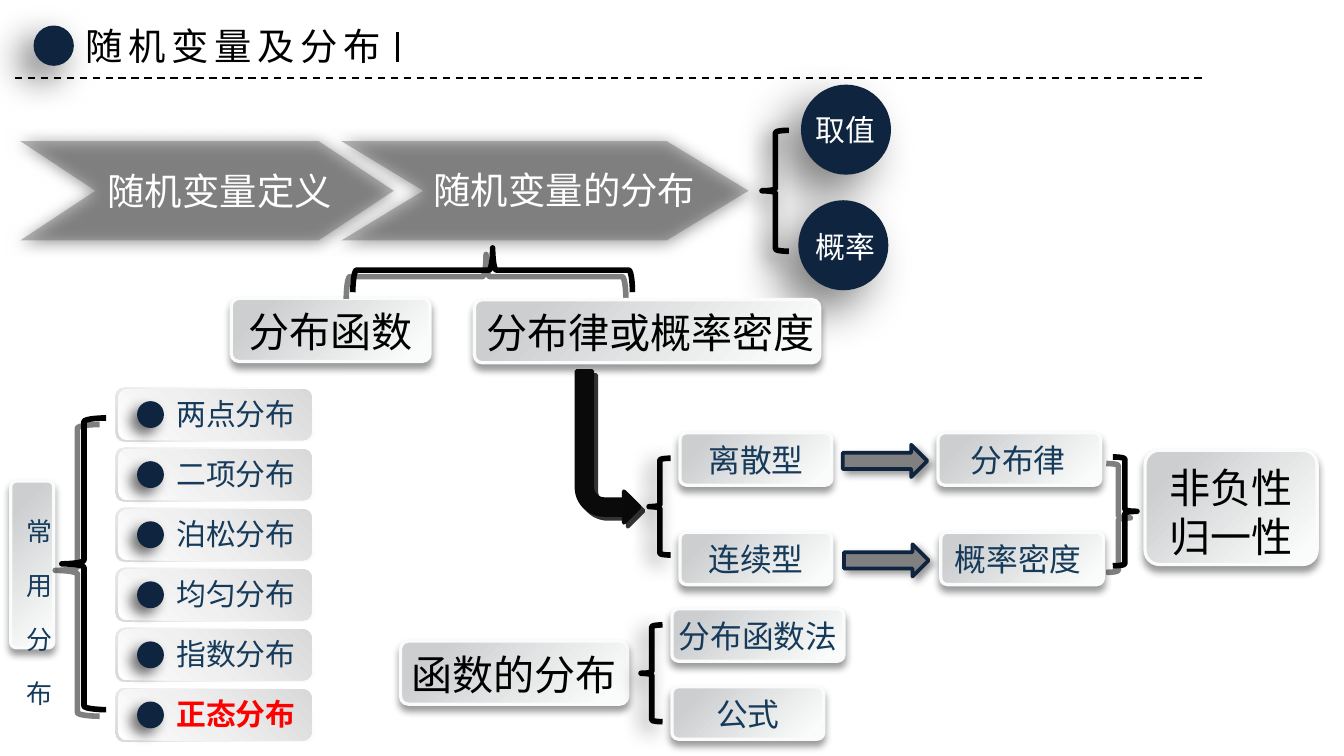
from lxml import etree
from pptx import Presentation
from pptx.dml.color import RGBColor
from pptx.enum.dml import MSO_LINE
from pptx.enum.shapes import MSO_CONNECTOR, MSO_SHAPE
from pptx.enum.text import MSO_ANCHOR, MSO_AUTO_SIZE, PP_ALIGN
from pptx.oxml.ns import qn
from pptx.util import Inches, Pt

ROUND, OVAL = MSO_SHAPE.ROUNDED_RECTANGLE, MSO_SHAPE.OVAL
BRACE, ARROW, BENT = MSO_SHAPE.LEFT_BRACE, MSO_SHAPE.RIGHT_ARROW, MSO_SHAPE.BENT_ARROW
LEFT, CENTER = PP_ALIGN.LEFT, PP_ALIGN.CENTER
COLORS = {
    "navy": "0F243E", "ink": "163A5A", "black": "000000", "white": "FFFFFF",
    "red": "FF0000", "grey": "808080", "chevron": "595959", "elbow": "0A0A0A",
    "card_dark": "CDCED0", "card_light": "FAFCFB",
    "bar_mid": "F2F2F2", "bar_inner": "F0F0F0", "bar_end": "D9D9D9",
}
SANS, LATIN = "Noto Sans CJK SC", "Arial"
# Shadows: opacity %, blur pt, distance pt, direction in degrees
CARD_SHADOW, ARROW_SHADOW, ELBOW_SHADOW = (40, 4, 3, 90), (40, 4, 3, 45), (80, 0, 3, 45)
BRACE_SHADOW, HARD_SHADOW, CHEVRON_SHADOW = (50, 11, 5, 135), (50, 0, 5, 135), (100, 8.5, 1, 90)
NODE_SHADOW, TITLE_SHADOW, DOT_SHADOW = (50, 25, 15, 135), (60, 20, 10, 135), (57, 7, 5, 135)
COLS, ROWS = 100, 56.25  # square grid cells, a tenth of an inch wide


def rgb(name):
    return RGBColor.from_string(COLORS[name])


class Board:
    """Draws on one slide; every length is in grid columns and rows."""

    def __init__(self, prs):
        self.slide = prs.slides.add_slide(prs.slide_layouts[6])
        self.shapes = self.slide.shapes
        self.cell = prs.slide_width / COLS

    def emu(self, *cells):
        return [round(c * self.cell) for c in cells]

    def finish(self, shape, fill=None, line=None, width=2, shadow=None):
        if fill:
            shape.fill.solid()
            shape.fill.fore_color.rgb = rgb(fill)
        else:
            shape.fill.background()
        if line:
            shape.line.color.rgb = rgb(line)
            shape.line.width = Pt(width)
        else:
            shape.line.fill.background()
        shape.shadow.inherit = False
        if shadow:
            opacity, blur, distance, angle = shadow
            effects = shape._element.spPr.find(qn("a:effectLst"))
            outer = etree.SubElement(effects, qn("a:outerShdw"), blurRad=str(Pt(blur)),
                                     dist=str(Pt(distance)), dir=str(angle * 60000),
                                     algn="ctr", rotWithShape="0")
            color = etree.SubElement(outer, qn("a:srgbClr"), val=COLORS["black"])
            etree.SubElement(color, qn("a:alpha"), val=str(opacity * 1000))
        return shape

    def shape(self, kind, box, rotation=0, flip=False, **style):
        shape = self.finish(self.shapes.add_shape(kind, *self.emu(*box)), **style)
        shape.rotation = rotation
        if flip:
            shape._element.spPr.find(qn("a:xfrm")).set("flipH", "1")
        return shape

    def gradient(self, shape, stops, angle):
        shape.fill.gradient()
        shape.fill.gradient_angle = (360 - angle) % 360
        stop_list = next(shape._element.spPr.iter(qn("a:gsLst")))
        for stop in list(stop_list):
            stop_list.remove(stop)
        for share, color in stops:
            stop = etree.SubElement(stop_list, qn("a:gs"), pos=str(share * 1000))
            etree.SubElement(stop, qn("a:srgbClr"), val=COLORS[color])

    def text(self, box, lines, size, color, font=SANS, align=LEFT, wrap=False, tight=False,
             middle=False, spacing=None, bold=None, **run_attributes):
        frame = self.shapes.add_textbox(*self.emu(*box)).text_frame
        frame.word_wrap = wrap
        frame.auto_size = MSO_AUTO_SIZE.SHAPE_TO_FIT_TEXT
        if tight:
            frame.margin_left = frame.margin_right = Inches(0.07)
            frame.margin_top = frame.margin_bottom = Inches(0.04)
        if middle:
            frame.vertical_anchor = MSO_ANCHOR.MIDDLE
        frame.text = lines
        for paragraph in frame.paragraphs:
            paragraph.alignment = align
            paragraph.line_spacing = spacing
            for run in paragraph.runs:
                run.font.size, run.font.name, run.font.bold = Pt(size), font, bold
                run.font.color.rgb = rgb(color)
                props = run.font._element
                for key, value in run_attributes.items():
                    props.set(key, value)
                if font == SANS:
                    props.find(qn("a:latin")).addnext(
                        etree.Element(qn("a:ea"), typeface=font))

    def panel(self, box):
        panel = self.shape(ROUND, box, line="card_light", width=1.75, shadow=CARD_SHADOW)
        panel.adjustments[0] = 0.125
        self.gradient(panel, [(15, "card_dark"), (92, "card_light")], 45)

    def card(self, box, label, text_width, size=17, color="ink", shift=0, drop=0.2):
        self.panel(box)
        x, y, w, h = box
        self.text((x + (w - text_width) / 2 + shift, y + drop, text_width, h - drop),
                  label, size, color, align=CENTER, tight=True)

    def bar(self, y, label, color="ink", bold=None):
        for inset, middle, share, angle in ((0, "bar_mid", 62, 135), (0.1, "bar_inner", 42, 315)):
            layer = self.shape(ROUND, (8.6 + 2 * inset, y + inset, 14.8 - 4 * inset, 4 - 2 * inset))
            self.gradient(layer, [(0, "white"), (share, middle), (100, "bar_end")], angle)
        self.shape(OVAL, (10.2, y + 1, 2, 2), fill="navy", shadow=DOT_SHADOW)
        self.text((12.15, y + 0.1, 11, 3.7), label, 16, color, bold=bold)

    def brace(self, box, rotation=0, flip=False):
        self.shape(BRACE, box, rotation, flip, line="black", width=3,
                   shadow=HARD_SHADOW if flip else BRACE_SHADOW)

    def arrow(self, x, y):
        self.shape(ARROW, (x, y, 6.3, 2.4), fill="grey", line="navy", shadow=ARROW_SHADOW)

    def chevron(self, x, width, notch, label, box, spacing=None):
        top, middle, bottom = 10.5, 14.2, 17.9
        shoulder, tip = x + width - notch, x + width
        outline = [(x, top), (shoulder, top), (tip, middle), (shoulder, bottom),
                   (x, bottom), (x + notch, middle)]
        points = [self.emu(*point) for point in outline]
        builder = self.shapes.build_freeform(*points[0])
        builder.add_line_segments(points[1:], close=True)
        shape = self.finish(builder.convert_to_shape(), fill="chevron", shadow=CHEVRON_SHADOW)
        color = shape._element.spPr.find(qn("a:solidFill"))[0]
        etree.SubElement(color, qn("a:alpha"), val="40000")
        self.text(box, label, 20, "white", LATIN, CENTER, wrap=True, middle=True, spacing=spacing)

    def rule(self, start, end, width, dash=None):
        rule = self.shapes.add_connector(MSO_CONNECTOR.STRAIGHT, *self.emu(*start, *end))
        rule.line.color.rgb = rgb("black")
        rule.line.width = Pt(width)
        rule.line.dash_style = dash
        etree.SubElement(rule._element.spPr, qn("a:effectLst"))


def main():
    prs = Presentation()
    prs.slide_width = Inches(10)
    prs.slide_height = round(prs.slide_width * ROWS / COLS)
    board = Board(prs)

    # Main chain: definition and distribution
    board.chevron(25.4, 30.3, 6.1, "随机变量的分布", (29.2, 11.9, 25.6, 4.4))
    board.chevron(1.5, 27.8, 5.6, "随机变量定义", (4.25, 11.5, 24.2, 4.7), spacing=1.2)

    # Title
    board.rule((1.1, 5.8), (89.8, 5.8), 1, MSO_LINE.DASH)
    board.shape(OVAL, (2.5, 1.9, 3, 3), fill="navy", shadow=TITLE_SHADOW)
    board.text((5.4, 1.2, 24.6, 4.4), "随机变量及分布", 20, "black", spc="300")
    board.rule((29.6, 2.4), (29.6, 4.6), 1.5)

    # Values and probabilities
    board.brace((56.7, 9.7, 2, 9))
    for x, y, label_y, label in ((59.6, 6.3, 7.8, "取值"), (59.4, 14.9, 16.5, "概率")):
        board.shape(OVAL, (x, y, 6.7, 6.7), fill="navy", shadow=NODE_SHADOW)
        board.text((59.7, label_y, 6.7, 3.7), label, 16, "white", wrap=True)

    # Two ways to describe a distribution
    board.card((17.2, 22.2, 14.8, 4.7), "分布函数", 13.9, 22, "black")
    board.brace((35, 9.7, 3.3, 20.8), 270, flip=True)
    board.card((35.3, 22.3, 25.7, 4.7), "分布律或概率密度", 26.2, 22, "black", shift=0.25)
    board.shape(BENT, (42.9, 27.6, 4.7, 11.3), 180, True,
                fill="elbow", line="elbow", shadow=ELBOW_SHADOW)

    # Discrete and continuous types
    board.brace((48.3, 34.1, 1.6, 7.2))
    board.brace((82.8, 34, 1.8, 8.1), flip=True)
    for y, kind, law, law_x, law_width, shift, arrow_x in (
            (32.2, "离散型", "分布律", 69.8, 8.7, -0.1, 62.7),
            (39.6, "连续型", "概率密度", 70, 11.1, -0.3, 62.8)):
        board.card((50.6, y, 11.3, 3.9), kind, 8.7)
        board.arrow(arrow_x, y + 0.9)
        board.card((law_x, y, 12.1, 3.9), law, law_width, shift=shift)
    board.card((85.2, 33.5, 12.8, 8.5), "非负性\n归一性", 10.8, 22, "black", drop=0.5)

    # Common distributions
    board.panel((0.8, 35.8, 3.2, 12.4))
    board.text((1, 36.4, 3, 11.8), "常用分布", 24, "ink", LATIN, CENTER, wrap=True,
               baseline="-3000")
    board.brace((4.6, 31.1, 3.3, 21.7), 180, flip=True)
    common = ["两点分布", "二项分布", "泊松分布", "均匀分布", "指数分布"]
    first, step = 28.85, 4.47
    for row, label in enumerate(common):
        board.bar(first + row * step, label)
    board.bar(first + len(common) * step, "正态分布", "red", bold=True)

    # Distribution of a function
    board.card((29.8, 47.7, 16.9, 4.7), "函数的分布", 16.9, 22, "black")
    board.brace((47.7, 46.5, 1.6, 7.2))
    board.card((50, 45.3, 12.8, 3.9), "分布函数法", 13.4)
    board.card((50, 51.1, 11.3, 3.9), "公式", 6.3)

    prs.save("out.pptx")


if __name__ == "__main__":
    main()
